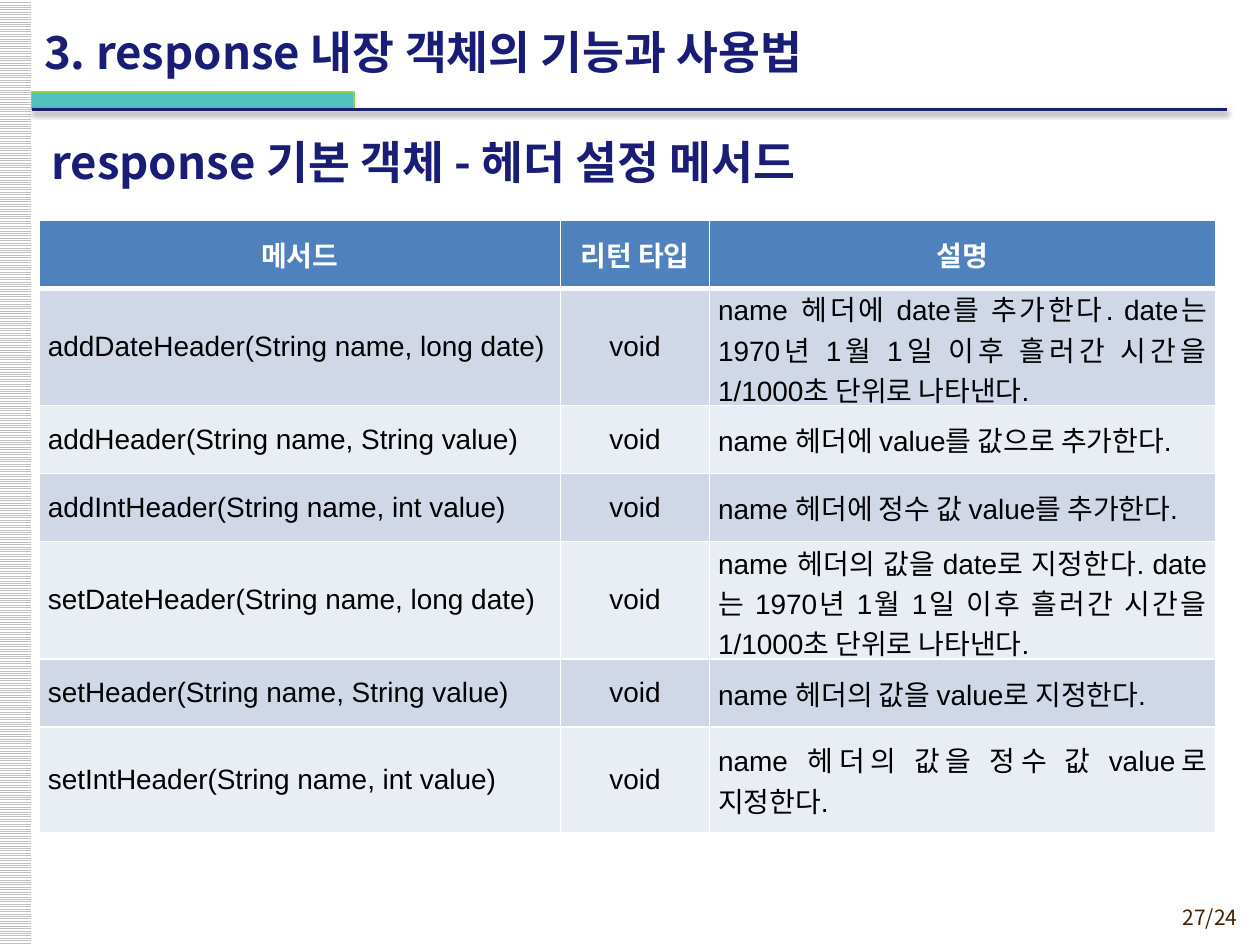
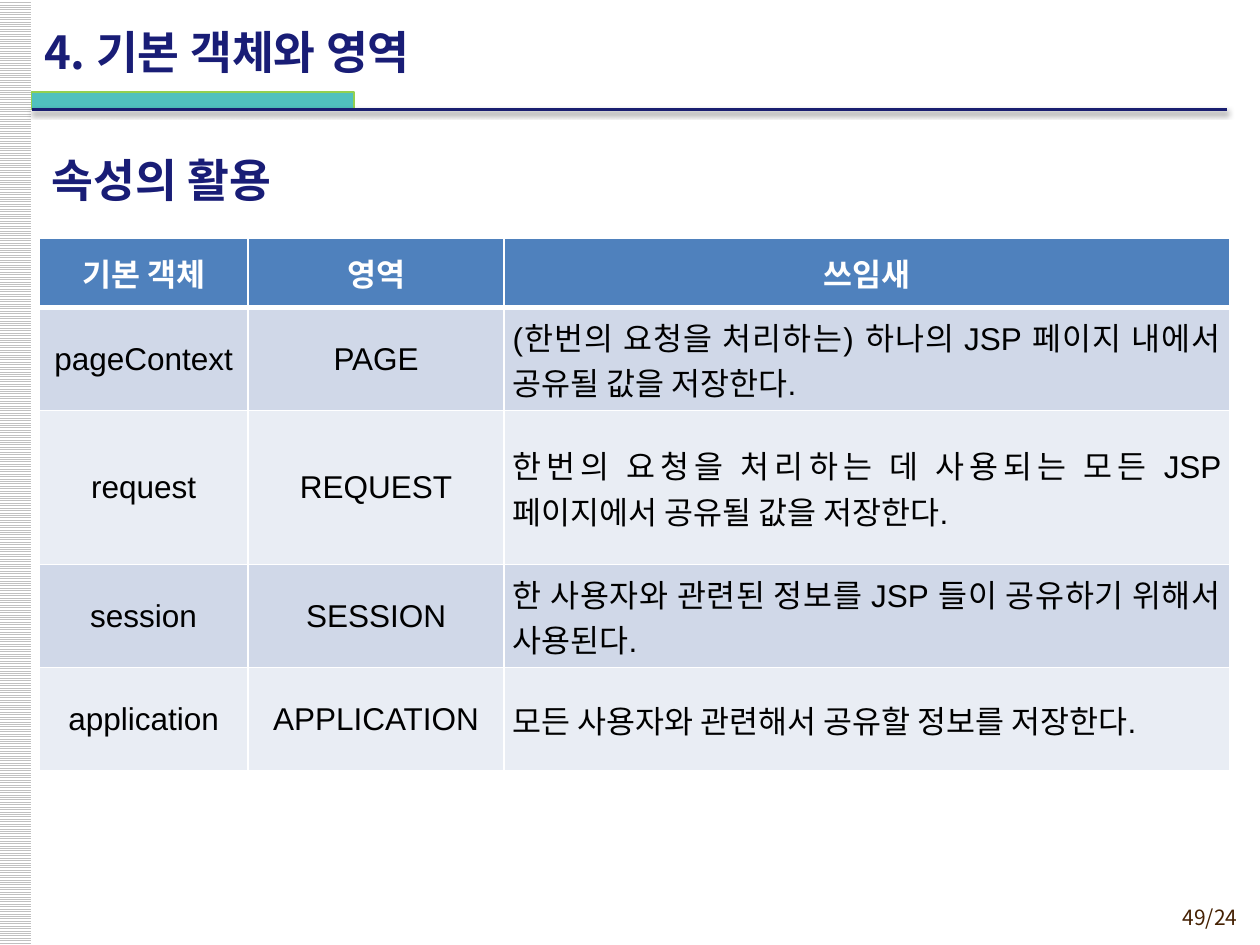
import pptx
import pptx.dml.color
import pptx.enum.dml
import pptx.enum.shapes
import pptx.enum.text
import pptx.oxml
import pptx.oxml.ns
import pptx.util

Inches = pptx.util.Inches
Pt = pptx.util.Pt
ALIGN = pptx.enum.text.PP_ALIGN
MIDDLE = pptx.enum.text.MSO_ANCHOR.MIDDLE
TOP = pptx.enum.text.MSO_ANCHOR.TOP

KOREAN_FONT = "Noto Sans CJK KR"
TABLE_FONT = "Arial"
TITLE_COLOR = "191D76"
RULE_COLOR = "191E70"
ACCENT_COLOR = "50C1BE"
ACCENT_EDGE = "92D050"
NUMBER_COLOR = "452103"
HEADER_FILL = "4F81BD"
ROW_FILLS = ["D0D8E8", "E9EDF4"]
WHITE = "FFFFFF"
STRIPE_GRAY = "C0C0C0"
BLACK = "000000"

RULE_SHADOW = (
    f'<a:effectLst {pptx.oxml.ns.nsdecls("a")}>'
    f'<a:outerShdw blurRad="{Pt(3.1)}" dist="{Pt(1.6)}" dir="5400000" rotWithShape="0">'
    f'<a:srgbClr val="{BLACK}"><a:alpha val="38000"/></a:srgbClr>'
    "</a:outerShdw></a:effectLst>"
)


def rgb(value):
    return pptx.dml.color.RGBColor.from_string(value)


def write(frame, text, *, size, color, font=KOREAN_FONT, bold=False,
          align=ALIGN.LEFT, anchor=MIDDLE):
    frame.word_wrap = True
    frame.vertical_anchor = anchor
    para = frame.paragraphs[0]
    para.alignment = align
    span = para.add_run()
    span.text = text
    span.font.size = Pt(size)
    span.font.bold = bold
    span.font.name = font
    span.font.color.rgb = rgb(color)
    east_asian = pptx.oxml.parse_xml(
        f'<a:ea {pptx.oxml.ns.nsdecls("a")} typeface="{KOREAN_FONT}"/>')
    span.font._element.find(pptx.oxml.ns.qn("a:latin")).addnext(east_asian)


def set_borders(cell, top=1, bottom=1):
    """Draw white lines on all four sides, with widths in points."""
    properties = cell._tc.get_or_add_tcPr()
    sides = {"lnL": 1, "lnR": 1, "lnT": top, "lnB": bottom}
    for place, (side, width) in enumerate(sides.items()):
        properties.insert(place, pptx.oxml.parse_xml(
            f'<a:{side} {pptx.oxml.ns.nsdecls("a")} w="{Pt(width)}">'
            f'<a:solidFill><a:srgbClr val="{WHITE}"/></a:solidFill></a:{side}>'))


class LectureDeck:
    heading_style = {"size": 26, "color": TITLE_COLOR, "bold": True}

    def __init__(self):
        self.deck = pptx.Presentation()
        self.deck.slide_width = Inches(10)
        self.deck.slide_height = Inches(7.5)
        self.page = None

    def start_page(self, title, number):
        self.page = self.deck.slides.add_slide(self.deck.slide_layouts[5])
        self.side_stripes()
        self.title_rule()
        self.text_box(number, 8.86, 7.13, 1.06, 0.29, size=12,
                      color=NUMBER_COLOR, align=ALIGN.RIGHT, anchor=TOP)
        box = self.page.shapes.title
        box.left, box.top = Inches(0.25), Inches(0.09)
        box.width, box.height = Inches(8.27), Inches(0.63)
        box.text_frame.auto_size = pptx.enum.text.MSO_AUTO_SIZE.NONE
        write(box.text_frame, title, **self.heading_style)

    def rectangle(self, left, top, width, height):
        box = self.page.shapes.add_shape(
            pptx.enum.shapes.MSO_SHAPE.RECTANGLE,
            Inches(left), Inches(top), Inches(width), Inches(height))
        box.shadow.inherit = False
        return box

    def side_stripes(self):
        band = self.rectangle(-0.01, 0, 0.26, 7.5)
        band.fill.patterned()
        band.fill.pattern = pptx.enum.dml.MSO_PATTERN.LIGHT_HORIZONTAL
        band.fill.fore_color.rgb = rgb(STRIPE_GRAY)
        band.fill.back_color.rgb = rgb(WHITE)
        band.line.fill.background()

    def title_rule(self):
        tab = self.rectangle(0.25, 0.73, 2.56, 0.14)
        tab.fill.solid()
        tab.fill.fore_color.rgb = rgb(ACCENT_COLOR)
        tab.line.color.rgb = rgb(ACCENT_EDGE)
        tab.line.width = Pt(0.75)
        rule = self.page.shapes.add_connector(
            pptx.enum.shapes.MSO_CONNECTOR.STRAIGHT,
            Inches(0.25), Inches(0.87), Inches(9.74), Inches(0.87))
        rule.line.color.rgb = rgb(RULE_COLOR)
        rule.line.width = Pt(2)
        rule._element.spPr.append(pptx.oxml.parse_xml(RULE_SHADOW))

    def text_box(self, text, left, top, width, height, **style):
        box = self.page.shapes.add_textbox(
            Inches(left), Inches(top), Inches(width), Inches(height))
        write(box.text_frame, text, **style)

    def subtitle(self, text, top):
        self.text_box(text, 0.31, top, 9.45, 0.64, **self.heading_style)

    def table(self, rows, *, top, widths, heights, size, aligns):
        """Add a table with a header row; aligns holds each body column's alignment."""
        grid = self.page.shapes.add_table(
            len(rows), len(widths), Inches(0.31), Inches(top),
            Inches(sum(widths)), Inches(sum(heights))).table
        for column, width in zip(grid.columns, widths):
            column.width = Inches(width)
        for row, height in zip(grid.rows, heights):
            row.height = Inches(height)
        for r, texts in enumerate(rows):
            header = r == 0
            for c, text in enumerate(texts):
                cell = grid.cell(r, c)
                cell.margin_left = cell.margin_right = Inches(0.07)
                cell.margin_top = cell.margin_bottom = 0
                cell.vertical_anchor = MIDDLE
                cell.fill.solid()
                cell.fill.fore_color.rgb = rgb(
                    HEADER_FILL if header else ROW_FILLS[(r - 1) % 2])
                set_borders(cell, top=3 if r == 1 else 1, bottom=3 if header else 1)
                write(cell.text_frame, text, size=size, font=TABLE_FONT, bold=header,
                      color=WHITE if header else BLACK, anchor=None,
                      align=ALIGN.CENTER if header else aligns[c])


def main():
    lecture = LectureDeck()

    lecture.start_page("3. response 내장 객체의 기능과 사용법", "27/24")
    lecture.subtitle("response 기본 객체 - 헤더 설정 메서드", 0.96)
    since_1970 = "date는 1970년 1월 1일 이후 흘러간 시간을 1/1000초 단위로 나타낸다."
    methods = [
        ("addDateHeader(String name, long date)", f"name 헤더에 date를 추가한다. {since_1970}"),
        ("addHeader(String name, String value)", "name 헤더에 value를 값으로 추가한다."),
        ("addIntHeader(String name, int value)", "name 헤더에 정수 값 value를 추가한다."),
        ("setDateHeader(String name, long date)",
         f"name 헤더의 값을 date로 지정한다. {since_1970}"),
        ("setHeader(String name, String value)", "name 헤더의 값을 value로 지정한다."),
        ("setIntHeader(String name, int value)", "name 헤더의 값을 정수 값 value로 지정한다."),
    ]
    lecture.table(
        [("메서드", "리턴 타입", "설명")]
        + [(method, "void", meaning) for method, meaning in methods],
        top=1.75, widths=[4.14, 1.18, 4.02],
        heights=[0.54, 0.93, 0.54, 0.54, 0.93, 0.54, 0.84], size=16,
        aligns=[ALIGN.JUSTIFY, ALIGN.CENTER, ALIGN.JUSTIFY])

    lecture.start_page("4. 기본 객체와 영역", "49/24")
    lecture.subtitle("속성의 활용", 1.1)
    lecture.table(
        [
            ("기본 객체", "영역", "쓰임새"),
            ("pageContext", "PAGE",
             "(한번의 요청을 처리하는) 하나의 JSP 페이지 내에서 공유될 값을 저장한다."),
            ("request", "REQUEST",
             "한번의 요청을 처리하는 데 사용되는 모든 JSP 페이지에서 공유될 값을 저장한다."),
            ("session", "SESSION",
             "한 사용자와 관련된 정보를 JSP 들이 공유하기 위해서 사용된다."),
            ("application", "APPLICATION",
             "모든 사용자와 관련해서 공유할 정보를 저장한다."),
        ],
        top=1.89, widths=[1.66, 2.03, 5.76],
        heights=[0.55, 0.82, 1.22, 0.82, 0.82], size=18,
        aligns=[ALIGN.CENTER, ALIGN.CENTER, ALIGN.JUSTIFY])

    lecture.deck.save("out.pptx")


if __name__ == "__main__":
    main()
